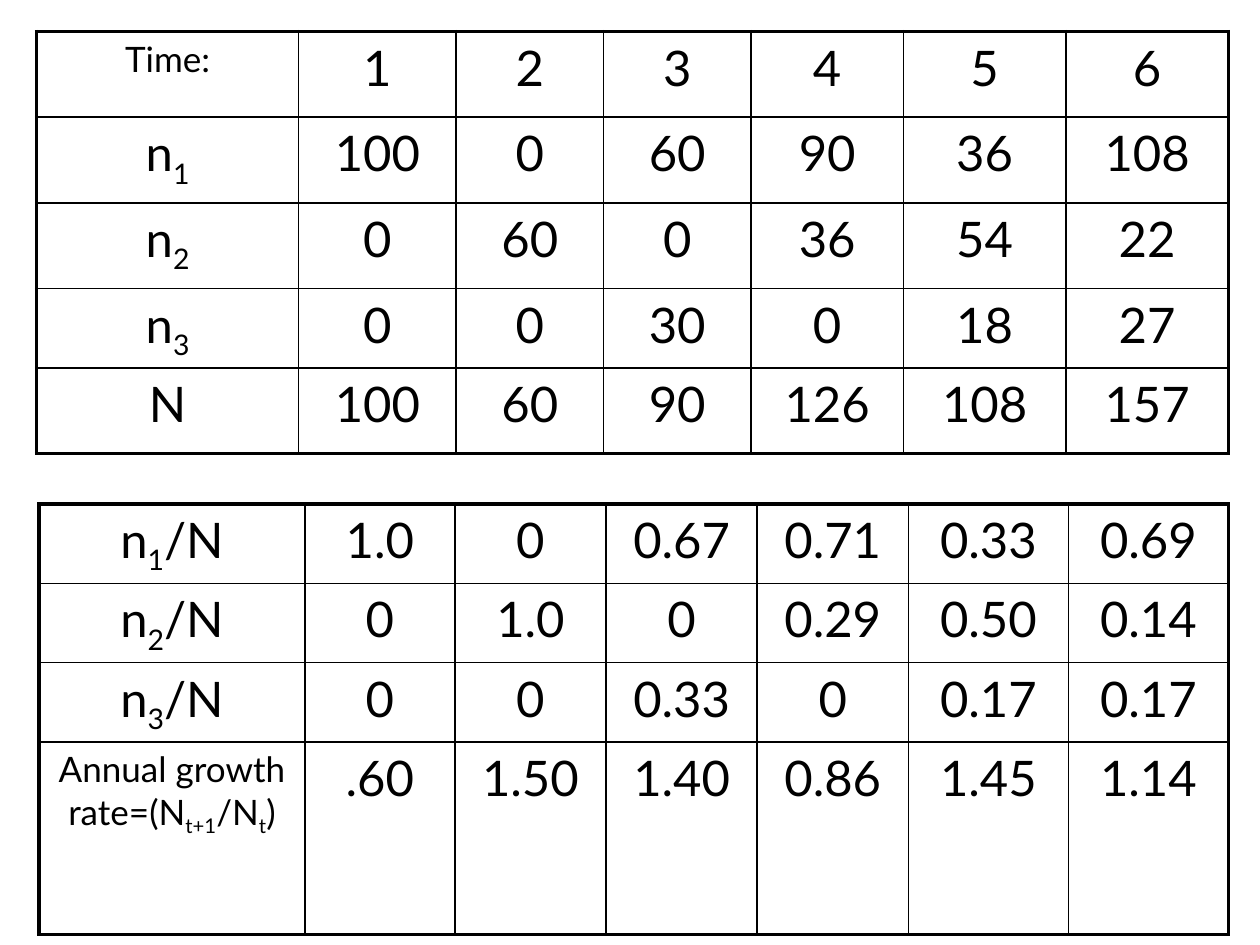
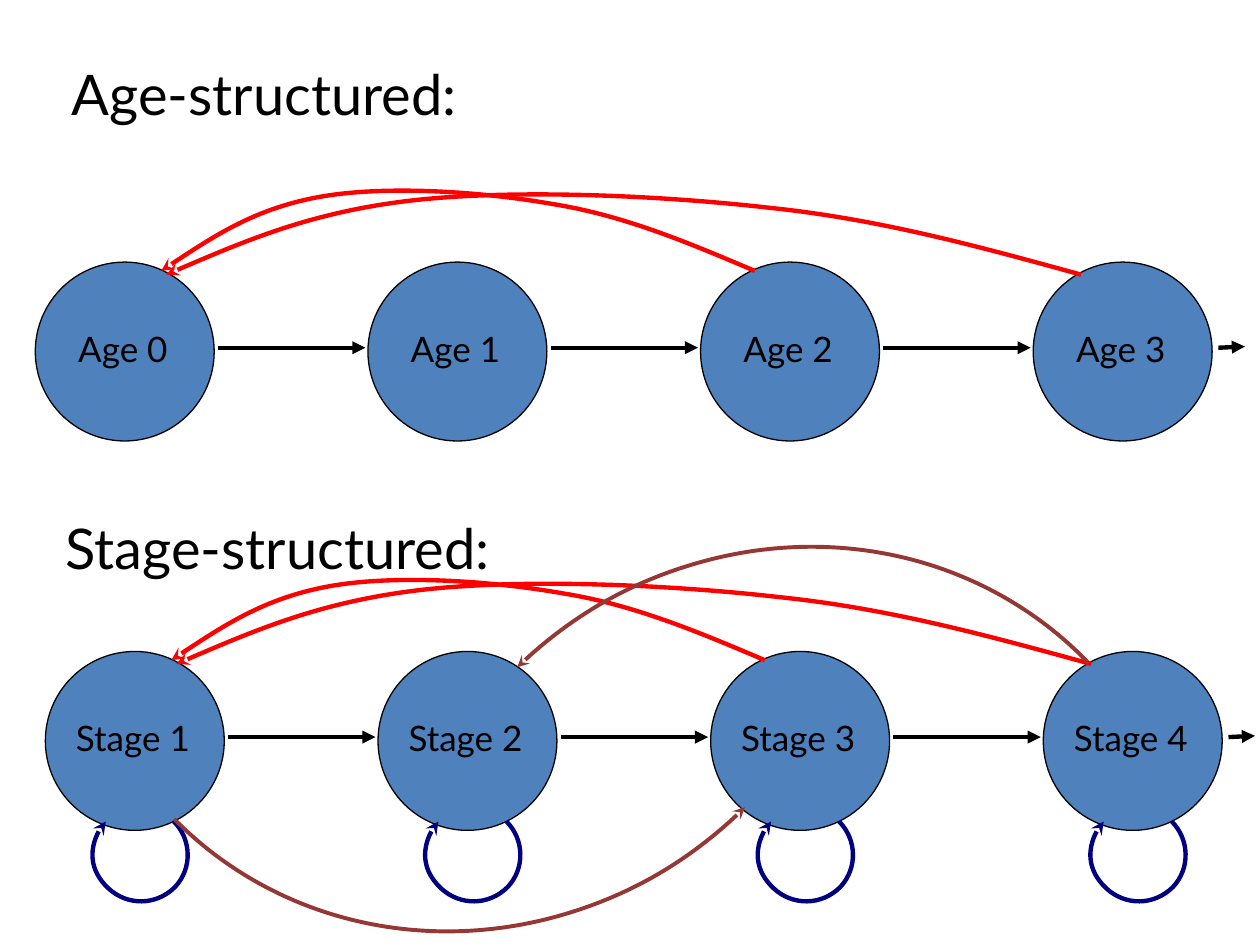
from lxml import etree
from pptx import Presentation
from pptx.dml.color import RGBColor
from pptx.enum.shapes import MSO_CONNECTOR, MSO_SHAPE
from pptx.enum.text import MSO_AUTO_SIZE, PP_ALIGN
from pptx.oxml.ns import qn
from pptx.util import Inches, Pt

STRAIGHT = MSO_CONNECTOR.STRAIGHT
OVAL, ARC = MSO_SHAPE.OVAL, MSO_SHAPE.ARC
FIT = MSO_AUTO_SIZE.SHAPE_TO_FIT_TEXT
LEFT, CENTER = PP_ALIGN.LEFT, PP_ALIGN.CENTER

COLORS = {"ink": "000000", "circle": "4F81BD", "birth": "FF0000",
          "stay": "000080", "skip": "953735"}
FONT = "Lato"
GRID_COLUMNS = 100  # square grid: 100 columns by 75 rows

# Table contents; text between underscores is subscript
COUNTS = [
    ["Time:", "1", "2", "3", "4", "5", "6"],
    ["n_1_", "100", "0", "60", "90", "36", "108"],
    ["n_2_", "0", "60", "0", "36", "54", "22"],
    ["n_3_", "0", "0", "30", "0", "18", "27"],
    ["N", "100", "60", "90", "126", "108", "157"],
]
SHARES = [
    ["n_1_/N", "1.0", "0", "0.67", "0.71", "0.33", "0.69"],
    ["n_2_/N", "0", "1.0", "0", "0.29", "0.50", "0.14"],
    ["n_3_/N", "0", "0", "0.33", "0", "0.17", "0.17"],
    ["Annual growth rate=(N_t+1_/N_t_)",
     ".60", "1.50", "1.40", "0.86", "1.45", "1.14"],
]

# Life-cycle diagram, measured from the first circle's corner
CIRCLE, STEP = 14.2, 26.4
# Birth arrow: share of its span, and rise above its ends
BIRTH = [(1, 0), (0.89, 2.2), (0.78, 4.4), (0.66, 5.3), (0.54, 6.3),
         (0.38, 6.8), (0.27, 5.9), (0.16, 5), (0.08, 2.5), (0, 0)]
STAY = [(10.2, 13.5), (11.6, 14.9), (11.7, 17.2), (10.3, 18.7), (8.8, 20.2),
        (6.5, 20.2), (5, 18.8), (3.5, 17.4), (3.4, 15), (4.8, 13.5)]


class Deck:
    def __init__(self):
        self.prs = Presentation()
        self.prs.slide_width, self.prs.slide_height = Inches(10), Inches(7.5)
        self.unit = self.prs.slide_width / GRID_COLUMNS
        self.shapes = None

    def new_slide(self):
        self.shapes = self.prs.slides.add_slide(self.prs.slide_layouts[6]).shapes

    def grid(self, *values):
        return [round(v * self.unit) for v in values]

    def color(self, name):
        return RGBColor.from_string(COLORS[name])

    def add_runs(self, tf, text, size, align=LEFT):
        p = tf.paragraphs[0]
        p.alignment = align
        for i, part in enumerate(text.split("_")):
            if not part:
                continue
            r = p.add_run()
            r.text = part
            r.font.name, r.font.size = FONT, Pt(size)
            r.font.color.rgb = self.color("ink")
            if i % 2:
                r._r.get_or_add_rPr().set("baseline", "-25000")

    def text(self, text, box, size, align=LEFT, wrap=False):
        tf = self.shapes.add_textbox(*self.grid(*box)).text_frame
        tf.word_wrap = wrap
        tf.auto_size = FIT
        self.add_runs(tf, text, size, align)

    def stroke(self, sp, color, width, arrow=None):
        sp.line.color.rgb = self.color(color)
        sp.line.width = Pt(width)
        if arrow:
            ln = sp.line._get_or_add_ln()
            etree.SubElement(ln, qn("a:tailEnd"), type=arrow)

    def circle(self, left, top):
        sp = self.shapes.add_shape(OVAL, *self.grid(left, top, CIRCLE, CIRCLE))
        sp.shadow.inherit = False
        sp.fill.solid()
        sp.fill.fore_color.rgb = self.color("circle")
        self.stroke(sp, "ink", 0.75)

    def arrow(self, x1, y1, x2, y2):
        line = self.shapes.add_connector(STRAIGHT, *self.grid(x1, y1, x2, y2))
        self.stroke(line, "ink", 2.5, "triangle")
        etree.SubElement(line._element.spPr, qn("a:effectLst"))

    def curve(self, points, color):
        """Draw Bézier segments through a start point and control-point triples."""
        start, *rest = [self.grid(*pt) for pt in points]
        builder = self.shapes.build_freeform(*start)
        builder.add_line_segments(rest, close=False)
        sp = builder.convert_to_shape()
        outline = next(sp._element.iter(qn("a:path")))
        legs = outline.findall(qn("a:lnTo"))
        for i in range(0, len(legs), 3):
            bezier = etree.SubElement(outline, qn("a:cubicBezTo"))
            for leg in legs[i:i + 3]:
                bezier.append(leg[0])
                outline.remove(leg)
        sp.shadow.inherit = False
        sp.fill.background()
        self.stroke(sp, color, 2.5, "stealth")

    def arc(self, box, rotation):
        sp = self.shapes.add_shape(ARC, *self.grid(*box))
        sp.rotation = rotation
        sp._element.spPr.find(qn("a:xfrm")).set("flipV", "1")
        sp.shadow.inherit = False
        sp.fill.background()
        self.stroke(sp, "skip", 2.25, "stealth")

    def borders(self, cell, outer):
        tc_pr = cell._tc.get_or_add_tcPr()
        for i, (side, is_outer) in enumerate(zip("LRTB", outer)):
            width = Pt(2.25 if is_outer else 1)
            ln = etree.Element(qn("a:ln" + side), w=str(int(width)))
            fill = etree.SubElement(ln, qn("a:solidFill"))
            etree.SubElement(fill, qn("a:srgbClr"), val=COLORS["ink"])
            tc_pr.insert(i, ln)

    def table(self, data, left, top, widths, heights):
        frame = self.shapes.add_table(
            len(heights), len(widths),
            *self.grid(left, top, sum(widths), sum(heights)))
        table = frame.table
        table.first_row = table.horz_banding = False
        for column, width in zip(table.columns, self.grid(*widths)):
            column.width = width
        for row, height in zip(table.rows, self.grid(*heights)):
            row.height = height
        last_row, last_col = len(heights) - 1, len(widths) - 1
        for i, values in enumerate(data):
            for j, value in enumerate(values):
                cell = table.cell(i, j)
                cell.fill.background()
                self.borders(cell, (j == 0, j == last_col, i == 0, i == last_row))
                is_note = value.startswith(("Time", "Annual"))
                self.add_runs(cell.text_frame, value, 20 if is_note else 28, CENTER)

    def life_cycle(self, labels, left, top):
        """Draw a row of circles, the arrows between them and two birth arrows."""
        for i, label in enumerate(labels):
            x = left + i * STEP
            self.circle(x, top)
            self.text(label, (x - 0.3, top + 4.7, 14.5, 4.3), 20, CENTER, True)
        for i in range(len(labels)):
            x, y = left + i * STEP + 14.5, top + 6.8
            if i < len(labels) - 1:
                self.arrow(x, y, x + 11.7, y)
            else:
                self.arrow(x + 0.2, y, x + 2.3, y - 0.1)
        for tip, drop, span in ((10, 0.7, 47.1), (10.4, 1, 72.6)):
            self.curve([(left + tip + share * span, top + drop - rise)
                        for share, rise in BIRTH], "birth")


def main():
    deck = Deck()

    # Slide 1: counts and shares over time
    deck.new_slide()
    deck.table(SHARES, 3.1, 40, [21.1, 11.9, 12, 12, 12, 12.7, 12.7],
               [5.8, 5.7, 5.7, 15.3])
    deck.table(COUNTS, 2.9, 2.5, [20.8, 12.5, 11.7, 11.7, 12.1, 12.9, 12.9],
               [6.8, 6.8, 6.8, 6.3, 6.8])

    # Slide 2: age- and stage-structured life cycles
    deck.new_slide()
    deck.text("Age-structured:", (4.7, 4.2, 33.3, 6.4), 32)
    deck.text("Stage-structured:", (4.2, 40.3, 36.5, 6.4), 32)
    deck.life_cycle([f"Age {n}" for n in range(4)], 2.8, 20.8)
    left, top = 3.6, 51.7
    deck.life_cycle([f"Stage {n}" for n in range(1, 5)], left, top)

    # Staying in a stage, then skipping stages
    for i in range(4):
        deck.curve([(left + i * STEP + x, top + y) for x, y in STAY], "stay")
    deck.arc((6.1, 9, 62.3, 65.8), 45.4)
    deck.arc((31.5, 42.5, 62.3, 65.8), 226.1)

    deck.prs.save("out.pptx")


if __name__ == "__main__":
    main()
